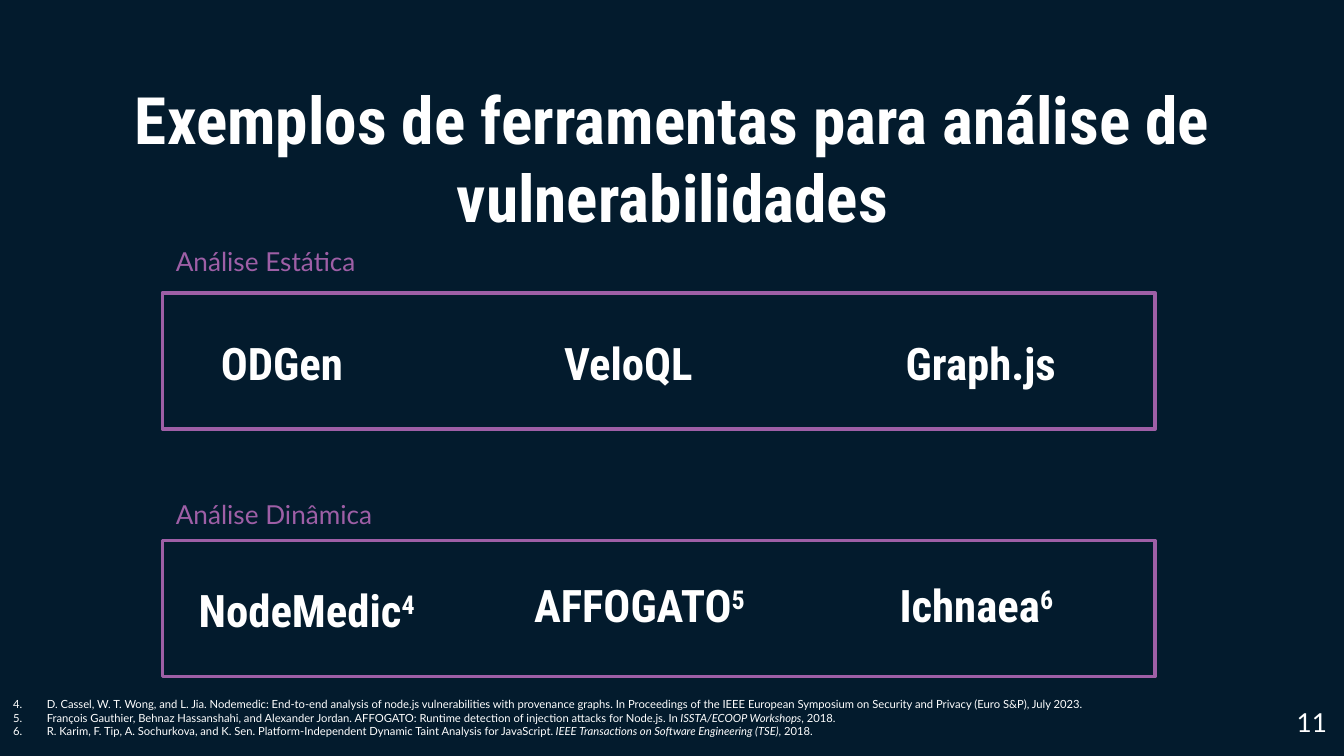
from lxml.etree import SubElement
from pptx import Presentation
from pptx.dml.color import RGBColor
from pptx.enum.shapes import MSO_SHAPE
from pptx.enum.text import MSO_ANCHOR, MSO_AUTO_SIZE, PP_ALIGN
from pptx.oxml.ns import qn
from pptx.util import Inches, Pt

# Theme
theme = {
    "back": RGBColor(0x03, 0x1B, 0x2D),
    "white": RGBColor(0xFF, 0xFF, 0xFF),
    "plum": RGBColor(0x9E, 0x5F, 0xA6),
    "head": "Roboto Condensed", "body": "Lato",
    "title": Pt(35), "tool": Pt(24), "label": Pt(14), "note": Pt(6),
}
bold = {"name": theme["head"], "bold": True}
title_font = {**bold, "size": theme["title"]}
tool_font = {**bold, "size": theme["tool"]}
label_font = {"name": theme["body"], "size": theme["label"]}
note_font = {"name": theme["body"], "size": theme["note"]}
pad = {"margin_" + side: Inches(0.1) for side in ("left", "top", "right", "bottom")}

deck = Presentation()
deck.slide_width, deck.slide_height = Inches(10), Inches(5.625)
slide = deck.slides.add_slide(deck.slide_layouts[5])
slide.background.fill.solid()
slide.background.fill.fore_color.rgb = theme["back"]


def place(x, y, w, h):
    """Turn percent shares of the slide into lengths."""
    wide, high = deck.slide_width, deck.slide_height
    return [int(n * full / 100) for n, full in zip((x, y, w, h), (wide, high) * 2)]


def write(para, text, form, color="white"):
    """Add one formatted run."""
    run = para.add_run()
    run.text = text
    for key, val in form.items():
        setattr(run.font, key, val)
    run.font.color.rgb = theme[color]
    return run


# Title
title = slide.shapes.title
title.left, title.top, title.width, title.height = place(7.9, 8.7, 84.3, 11.2)
frame = title.text_frame
for key, val in {**pad, "word_wrap": True, "auto_size": MSO_AUTO_SIZE.NONE,
                 "vertical_anchor": MSO_ANCHOR.TOP}.items():
    setattr(frame, key, val)
para = frame.paragraphs[0]
para.alignment = PP_ALIGN.CENTER
write(para, "Exemplos de ferramentas para análise de vulnerabilidades", title_font)

# Tool groups: label top, frame top, then name, mark, left, top, width
groups = [
    ("Análise Estática", 31.6, 38.75, [
        ("ODGen", "", 15.45, 43.75, 13),
        ("VeloQL", "", 41, 43.75, 13),
        ("Graph.js", "", 66.4, 43.75, 14)]),
    ("Análise Dinâmica", 65.1, 71.5, [
        ("NodeMedic", "4", 13.8, 76.4, 20),
        ("AFFOGATO", "5", 38.75, 75.75, 19.1),
        ("Ichnaea", "6", 65.95, 75.75, 14.4)]),
]
labels = [("11", 95.5, 92.6, 4.5, "white")]
for label, high, top, tools in groups:
    labels.append((label, 12.1, high, 21.7, "plum"))
    for name, mark, x, y, wide in tools:
        frame = slide.shapes.add_textbox(*place(x, y, wide, 9.6)).text_frame
        for key, val in {**pad, "word_wrap": True,
                         "vertical_anchor": MSO_ANCHOR.BOTTOM}.items():
            setattr(frame, key, val)
        para = frame.paragraphs[0]
        para.line_spacing = 1.15
        write(para, name, tool_font)
        if mark:
            run = write(para, mark, tool_font)
            run.font._element.set("baseline", "30000")
    box = slide.shapes.add_shape(MSO_SHAPE.RECTANGLE, *place(12.1, top, 73.85, 18))
    box.shadow.inherit = False
    box.fill.background()
    box.line.color.rgb = theme["plum"]
    box.line.width = Pt(2)

# Group labels and page number
for text, x, y, wide, color in labels:
    frame = slide.shapes.add_textbox(*place(x, y, wide, 6)).text_frame
    frame.word_wrap = True
    frame.auto_size = MSO_AUTO_SIZE.SHAPE_TO_FIT_TEXT
    write(frame.paragraphs[0], text, label_font, color)

# Numbered references: plain, italic, plain
notes = [
    ("D. Cassel, W. T. Wong, and L. Jia. Nodemedic: End-to-end analysis of node.js "
     "vulnerabilities with provenance graphs. In Proceedings of the IEEE European "
     "Symposium on Security and Privacy (Euro S&P), July 2023.",),
    ("François Gauthier, Behnaz Hassanshahi, and Alexander Jordan. AFFOGATO: Runtime "
     "detection of injection attacks for Node.js. In ",
     "ISSTA/ECOOP Workshops", ", 2018."),
    ("R. Karim, F. Tip, A. Sochurkova, and K. Sen. Platform-Independent Dynamic Taint "
     "Analysis for JavaScript. ",
     "IEEE Transactions on Software Engineering (TSE)", ", 2018."),
]
frame = slide.shapes.add_textbox(*place(0, 94, 100, 5.3)).text_frame
for key, val in {"word_wrap": True, "vertical_anchor": MSO_ANCHOR.MIDDLE,
                 "margin_bottom": Inches(0.24)}.items():
    setattr(frame, key, val)
for i, parts in enumerate(notes):
    para = frame.add_paragraph() if i else frame.paragraphs[0]
    props = para._p.get_or_add_pPr()
    props.set("marL", str(Inches(0.25)))
    props.set("indent", str(-Inches(0.25)))
    tint = SubElement(SubElement(props, qn("a:buClr")), qn("a:srgbClr"))
    tint.set("val", str(theme["white"]))
    SubElement(props, qn("a:buFont")).set("typeface", theme["body"])
    mark = SubElement(props, qn("a:buAutoNum"))
    mark.set("type", "arabicPeriod")
    mark.set("startAt", "4")
    for j, part in enumerate(parts):
        write(para, part, {**note_font, "italic": j == 1})

deck.save("out.pptx")
